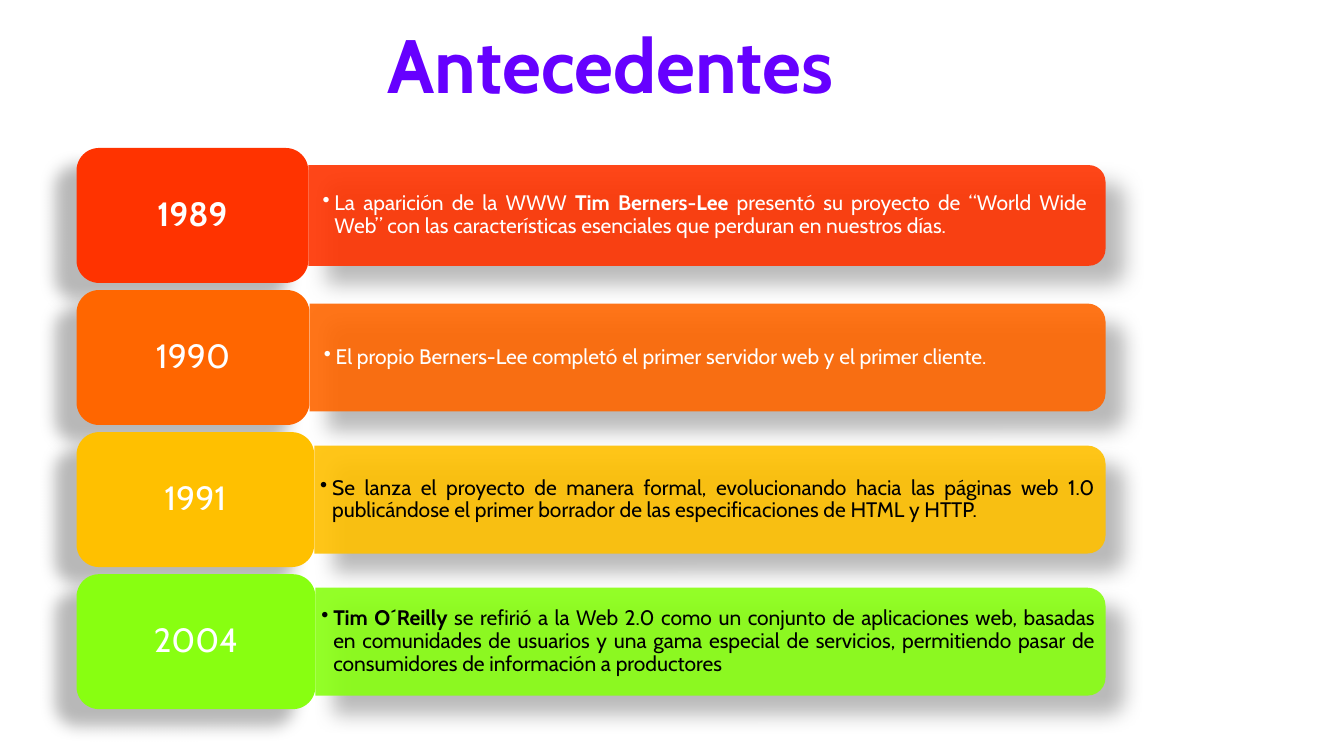
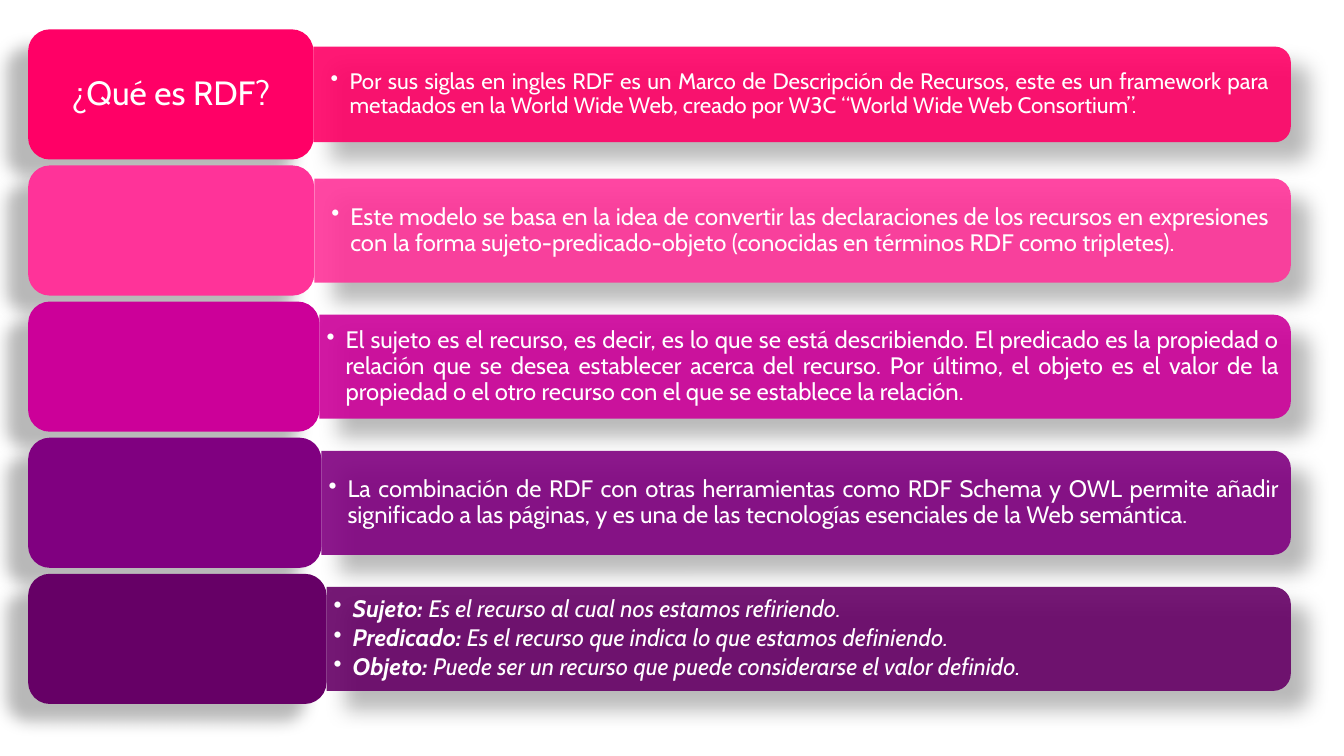
from dataclasses import dataclass

from lxml import etree
from pptx import Presentation
from pptx import util as u
from pptx.dml.color import RGBColor
from pptx.enum import shapes, text
from pptx.oxml import ns

FONT = "Cabin"
WHITE = RGBColor(0xFF, 0xFF, 0xFF)
BLACK = RGBColor(0x00, 0x00, 0x00)
VIOLET = RGBColor(0x66, 0x00, 0xFF)
ORCHID = RGBColor(0xCC, 0x00, 0xFF)
RED = RGBColor(0xFF, 0x33, 0x00)
ORANGE = RGBColor(0xFF, 0x66, 0x00)
AMBER = RGBColor(0xFF, 0xC0, 0x00)
LIME = RGBColor(0x88, 0xFF, 0x11)
ROSE = RGBColor(0xFF, 0x00, 0x66)
PINK = RGBColor(0xFF, 0x33, 0x99)
MAGENTA = RGBColor(0xCC, 0x00, 0x99)
PURPLE = RGBColor(0x80, 0x00, 0x80)
PLUM = RGBColor(0x66, 0x00, 0x66)

BAR_SHADOW = {"alpha": 30, "blur": 15, "distance": 18, "angle": 45}
LABEL_SHADOW = {"alpha": 28, "blur": 11.8, "distance": 19.7, "angle": 141}
BAR_ALPHA = 90
TITLE_FORMAT = {"name": FONT, "size": u.Pt(54), "bold": True}
LABEL_FORMAT = {"name": FONT, "size": u.Pt(24)}
BULLET_FORMAT = {"line_spacing": 0.9, "space_after": u.Pt(2.5)}


@dataclass
class RowLayout:
    left: float
    top: float
    pitch: float
    label_height: float
    bar_right: float
    indent: float


@dataclass
class Row:
    color: RGBColor
    label_width: float
    bar_height: float
    inset: float
    size: float
    bullets: list
    label: str = ""
    label_bold: bool = False
    ink: RGBColor = WHITE
    italic: bool = False
    align: text.PP_ALIGN = text.PP_ALIGN.JUSTIFY


HISTORY_LAYOUT = RowLayout(1.93, 3.73, 3.58, 3.4, 27.86, 0.3)
HISTORY = [
    Row(RED, 5.84, 2.54, 0.36, 15, [[
        ("La aparición de la WWW ", False),
        ("Tim Berners-Lee ", True),
        ("presentó su proyecto de “World Wide Web” con las características "
         "esenciales que perduran en nuestros días.", False),
    ]], "1989", label_bold=True),
    Row(ORANGE, 5.87, 2.72, 0.36, 15, [[
        ("El propio Berners-Lee completó el primer servidor web y el primer "
         "cliente.", False),
    ]], "1990"),
    Row(AMBER, 5.99, 2.72, 0.15, 15, [[
        ("Se lanza el proyecto de manera formal, evolucionando hacia las "
         "páginas web 1.0 publicándose el primer borrador de las "
         "especificaciones de HTML y HTTP.", False),
    ]], "1991", ink=BLACK),
    Row(LIME, 6.02, 2.72, 0.15, 15, [[
        ("Tim O´Reilly ", True),
        ("se refirió a la Web 2.0 como un conjunto de aplicaciones web, "
         "basadas en comunidades de usuarios y una gama especial de "
         "servicios, permitiendo pasar de consumidores de información a "
         "productores", False),
    ]], "2004", ink=BLACK),
]

RDF_LAYOUT = RowLayout(0.71, 0.74, 3.43, 3.28, 32.53, 0.48)
RDF = [
    Row(ROSE, 7.19, 2.41, 0.43, 16, [[
        ("Por sus siglas en ingles RDF es un Marco de Descripción de "
         "Recursos, este es un framework para metadados en la World Wide "
         "Web, creado por W3C “World Wide Web Consortium”.", False),
    ]], "¿Qué es RDF?"),
    Row(PINK, 7.21, 2.62, 0.43, 17, [[
        ("Este modelo se basa en la idea de convertir las declaraciones de "
         "los recursos en expresiones con la forma "
         "sujeto-predicado-objeto (conocidas en términos RDF como "
         "tripletes).", False),
    ]]),
    Row(MAGENTA, 7.34, 2.62, 0.18, 17, [[
        ("El sujeto es el recurso, es decir, es lo que se está "
         "describiendo. El predicado es la propiedad o relación que se "
         "desea establecer acerca del recurso. Por último, el objeto es el "
         "valor de la propiedad o el otro recurso con el que se establece "
         "la relación.", False),
    ]]),
    Row(PURPLE, 7.39, 2.62, 0.18, 17, [[
        ("La combinación de RDF con otras herramientas como RDF Schema y "
         "OWL permite añadir significado a las páginas, y es una de las "
         "tecnologías esenciales de la Web semántica.", False),
    ]]),
    Row(PLUM, 7.52, 2.62, 0.18, 17, [
        [("Sujeto:", True),
         (" Es el recurso al cual nos estamos refiriendo.", False)],
        [("Predicado:", True),
         (" Es el recurso que indica lo que estamos definiendo.", False)],
        [("Objeto:", True),
         (" Puede ser un recurso que puede considerarse el valor definido.",
          False)],
    ], italic=True, align=text.PP_ALIGN.LEFT),
]


def apply(target, values):
    for key, value in values.items():
        setattr(target, key, value)


def child(parent, tag, **attributes):
    return etree.SubElement(parent, ns.qn(tag), attributes)


def write(paragraph, words, color, values):
    run = paragraph.add_run()
    run.text = words
    apply(run.font, values)
    run.font.color.rgb = color
    return run


def cast_shadow(shape, alpha, blur, distance, angle):
    shape.shadow.inherit = False
    effects = shape._element.spPr.find(ns.qn("a:effectLst"))
    shadow = child(effects, "a:outerShdw", blurRad=str(u.Pt(blur)),
                   dist=str(u.Pt(distance)), dir=str(angle * 60000),
                   algn="ctr", rotWithShape="0")
    tint = child(shadow, "a:srgbClr", val=str(BLACK))
    child(tint, "a:alpha", val=str(alpha * 1000))


def add_block(slide, kind, box, color, shadow):
    block = slide.shapes.add_shape(kind, *map(u.Cm, box))
    block.fill.solid()
    block.fill.fore_color.rgb = color
    block.line.fill.background()
    cast_shadow(block, **shadow)
    return block


def add_title(slide, words):
    box = slide.shapes.add_textbox(u.Cm(8.66), u.Cm(0.33), u.Cm(13.46), u.Cm(2.6))
    box.text_frame.word_wrap = False
    paragraph = box.text_frame.paragraphs[0]
    paragraph.alignment = text.PP_ALIGN.CENTER
    run = write(paragraph, words, VIOLET, TITLE_FORMAT)
    outline = etree.Element(ns.qn("a:ln"), w=str(u.Pt(0.75)))
    child(child(outline, "a:solidFill"), "a:srgbClr", val=str(ORCHID))
    run.font._element.insert(0, outline)


def add_bar(slide, row, left, middle, right):
    length = right - left
    upright = ((left + right - row.bar_height) / 2, middle - length / 2,
               row.bar_height, length)
    bar = add_block(slide, shapes.MSO_SHAPE.ROUND_2_SAME_RECTANGLE, upright,
                    row.color, BAR_SHADOW)
    bar.rotation = 90
    tint = bar._element.spPr.find(ns.qn("a:solidFill"))[0]
    child(tint, "a:alpha", val=str(BAR_ALPHA * 1000))


def add_bullets(slide, row, left, middle, right, indent):
    height = row.bar_height - 0.25
    box = slide.shapes.add_textbox(u.Cm(left), u.Cm(middle - height / 2),
                                   u.Cm(right - 0.11 - left), u.Cm(height))
    frame = box.text_frame
    side, edge = u.Cm(row.inset), u.Cm(row.inset / 2)
    apply(frame, {"word_wrap": True, "vertical_anchor": text.MSO_ANCHOR.MIDDLE,
                  "margin_left": side, "margin_right": side,
                  "margin_top": edge, "margin_bottom": edge})
    for index, runs in enumerate(row.bullets):
        paragraph = frame.add_paragraph() if index else frame.paragraphs[0]
        apply(paragraph, {**BULLET_FORMAT, "alignment": row.align})
        properties = paragraph._p.get_or_add_pPr()
        properties.set("marL", str(u.Cm(indent)))
        properties.set("indent", str(-u.Cm(indent)))
        child(properties, "a:buChar", char="•")
        for words, bold in runs:
            write(paragraph, words, row.ink,
                  {"name": FONT, "size": u.Pt(row.size), "bold": bold,
                   "italic": row.italic})


def add_label(slide, row, left, top, height):
    label = add_block(slide, shapes.MSO_SHAPE.ROUNDED_RECTANGLE,
                      (left, top, row.label_width, height), row.color,
                      LABEL_SHADOW)
    if row.label:
        label.text_frame.vertical_anchor = text.MSO_ANCHOR.MIDDLE
        paragraph = label.text_frame.paragraphs[0]
        apply(paragraph, {"alignment": text.PP_ALIGN.CENTER,
                          "line_spacing": 0.9})
        write(paragraph, row.label, WHITE,
              {**LABEL_FORMAT, "bold": row.label_bold})


def add_rows(slide, layout, rows):
    for index, row in enumerate(rows):
        top = layout.top + index * layout.pitch
        middle = top + layout.label_height / 2
        bar_left = layout.left + row.label_width
        add_bar(slide, row, bar_left, middle, layout.bar_right)
        add_bullets(slide, row, bar_left, middle, layout.bar_right,
                    layout.indent)
        add_label(slide, row, layout.left, top, layout.label_height)


def main():
    deck = Presentation()
    deck.slide_width, deck.slide_height = u.Cm(33.87), u.Cm(19.05)
    blank = deck.slide_layouts[6]

    history = deck.slides.add_slide(blank)
    add_title(history, "Antecedentes")
    add_rows(history, HISTORY_LAYOUT, HISTORY)

    rdf = deck.slides.add_slide(blank)
    add_rows(rdf, RDF_LAYOUT, RDF)

    deck.save("out.pptx")


if __name__ == "__main__":
    main()
